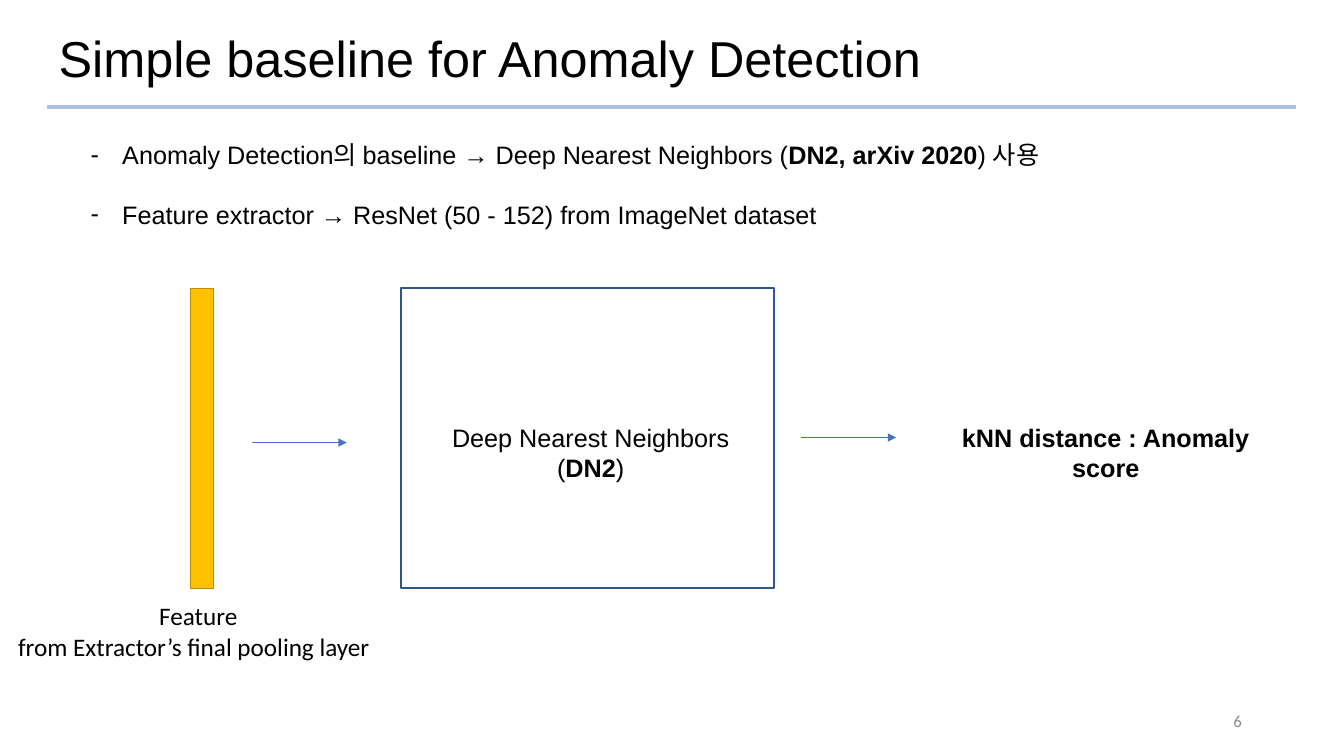
from dataclasses import dataclass

import pptx
import pptx.dml.color
import pptx.enum.shapes
import pptx.enum.text
import pptx.oxml
import pptx.oxml.ns
import pptx.util

Pt = pptx.util.Pt
RGB = pptx.dml.color.RGBColor.from_string
Align = pptx.enum.text.PP_ALIGN
Anchor = pptx.enum.text.MSO_ANCHOR
qn = pptx.oxml.ns.qn


@dataclass(frozen=True)
class Theme:
    heading_font: str = "Arial"
    caption_font: str = "Calibri"
    title_size: float = 36
    text_size: float = 18
    number_size: float = 12
    ink: str = "000000"
    muted: str = "8C8C8C"
    rule: str = "ABC0E4"
    arrow: str = "4472C4"
    feature_fill: str = "FFC000"
    feature_edge: str = "BD8E00"
    model_edge: str = "325491"


@dataclass(frozen=True)
class Area:
    left: float
    top: float
    width: float
    height: float

    def lengths(self) -> tuple:
        return Pt(self.left), Pt(self.top), Pt(self.width), Pt(self.height)


@dataclass(frozen=True)
class Run:
    text: str
    bold: bool = False


@dataclass(frozen=True)
class Line:
    runs: tuple[Run, ...]
    align: Align = Align.LEFT


@dataclass(frozen=True)
class Label:
    area: Area
    lines: tuple[Line, ...]
    font: str
    size: float
    color: str
    anchor: Anchor = Anchor.TOP


@dataclass(frozen=True)
class Block:
    area: Area
    fill: str | None
    edge: str
    weight: float


@dataclass(frozen=True)
class Stroke:
    left: float
    right: float
    y: float
    color: str
    weight: float
    arrow: bool = True


THEME = Theme()


def write(shape, label: Label) -> None:
    shape.left, shape.top, shape.width, shape.height = label.area.lengths()
    frame = shape.text_frame
    frame.word_wrap = True
    frame.auto_size = pptx.enum.text.MSO_AUTO_SIZE.NONE
    frame.vertical_anchor = label.anchor
    for index, line in enumerate(label.lines):
        paragraph = frame.add_paragraph() if index else frame.paragraphs[0]
        paragraph.alignment = line.align
        paragraph.space_before = Pt(0)
        for part in line.runs:
            run = paragraph.add_run()
            run.text = part.text
            run.font.name = label.font
            run.font.size = Pt(label.size)
            run.font.bold = part.bold
            run.font.color.rgb = RGB(label.color)


def add_dash(paragraph, indent: float) -> None:
    properties = paragraph._p.get_or_add_pPr()
    properties.set("marL", str(Pt(indent)))
    properties.set("indent", str(-Pt(indent)))
    pptx.oxml.ns and properties.append(properties.makeelement(qn("a:buChar"), {"char": "-"}))


def add_block(slide, block: Block) -> None:
    shape = slide.shapes.add_shape(
        pptx.enum.shapes.MSO_SHAPE.RECTANGLE, *block.area.lengths())
    shape.shadow.inherit = False
    if block.fill:
        shape.fill.solid()
        shape.fill.fore_color.rgb = RGB(block.fill)
    else:
        shape.fill.background()
    shape.line.color.rgb = RGB(block.edge)
    shape.line.width = Pt(block.weight)


def add_stroke(slide, stroke: Stroke) -> None:
    connector = slide.shapes.add_connector(
        pptx.enum.shapes.MSO_CONNECTOR.STRAIGHT,
        Pt(stroke.left), Pt(stroke.y), Pt(stroke.right), Pt(stroke.y))
    connector.line.color.rgb = RGB(stroke.color)
    connector.line.width = Pt(stroke.weight)
    properties = connector._element.spPr
    if stroke.arrow:
        outline = properties.find(qn("a:ln"))
        outline.append(outline.makeelement(qn("a:tailEnd"), {"type": "triangle"}))
    properties.append(properties.makeelement(qn("a:effectLst"), {}))


presentation = pptx.Presentation()
presentation.slide_width, presentation.slide_height = Pt(960), Pt(540)
slide = presentation.slides.add_slide(presentation.slide_layouts[1])
title, points = slide.shapes.title, slide.placeholders[1]

write(title, Label(
    Area(34.6, 15.1, 780.5, 56.9),
    (Line((Run("Simple baseline for Anomaly Detection"),)),),
    THEME.heading_font, THEME.title_size, THEME.ink, Anchor.MIDDLE))
title.text_frame.paragraphs[0].line_spacing = 0.9

write(points, Label(
    Area(57.6, 95.8, 728, 90),
    (Line((Run("Anomaly Detection의 baseline → Deep Nearest Neighbors ("),
           Run("DN2, arXiv 2020", True), Run(") 사용"))),
     Line((Run("Feature extractor → ResNet (50 - 152) from ImageNet dataset"),))),
    THEME.heading_font, THEME.text_size, THEME.ink))
for point in points.text_frame.paragraphs:
    point.space_after = Pt(21)
    add_dash(point, 22.5)

for block in (
    Block(Area(136.1, 206, 16.6, 214.5), THEME.feature_fill, THEME.feature_edge, 1),
    Block(Area(286.6, 206, 266.4, 214), None, THEME.model_edge, 1.5),
):
    add_block(slide, block)

for stroke in (
    Stroke(33.8, 925.9, 76.3, THEME.rule, 3, arrow=False),
    Stroke(180, 247.7, 316.1, THEME.arrow, 0.5),
    Stroke(572.4, 640.1, 312.5, THEME.arrow, 0.5),
):
    add_stroke(slide, stroke)

for label in (
    Label(Area(5.8, 425.5, 275.8, 51),
          (Line((Run("Feature "),), Align.CENTER),
           Line((Run("from Extractor’s final pooling layer"),))),
          THEME.caption_font, THEME.text_size, THEME.ink),
    Label(Area(291.6, 298.1, 260.6, 51),
          (Line((Run("Deep Nearest Neighbors ("), Run("DN2", True), Run(")")),
                Align.CENTER),),
          THEME.heading_font, THEME.text_size, THEME.ink),
    Label(Area(659.5, 298.1, 260.6, 51),
          (Line((Run("kNN distance : Anomaly score", True),), Align.CENTER),),
          THEME.heading_font, THEME.text_size, THEME.ink),
    Label(Area(678.2, 500.4, 216, 28.8),
          (Line((Run("6"),), Align.RIGHT),),
          THEME.caption_font, THEME.number_size, THEME.muted, Anchor.MIDDLE),
):
    write(slide.shapes.add_textbox(*label.area.lengths()), label)

presentation.save("out.pptx")
